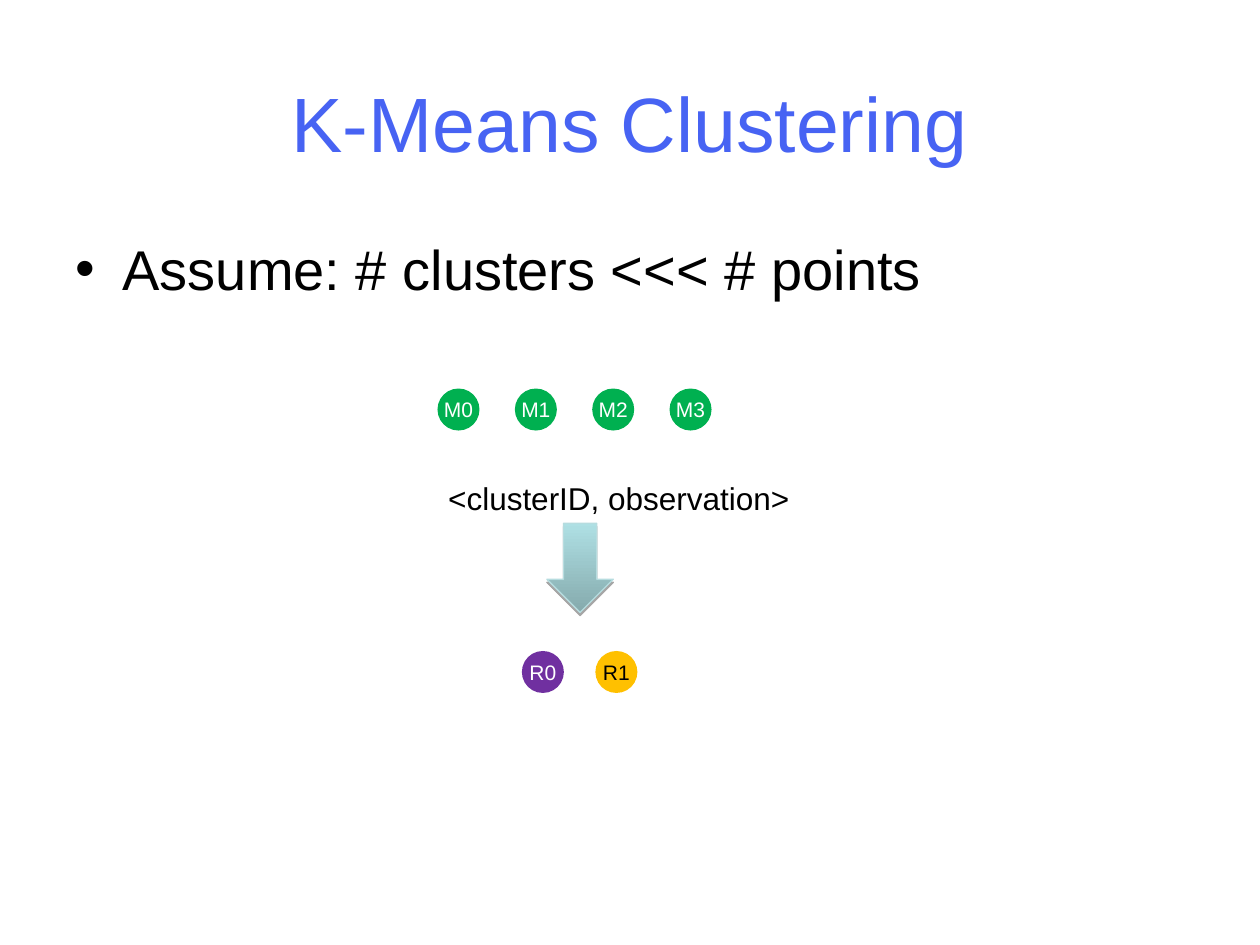
from dataclasses import dataclass

from lxml import etree
from pptx import Presentation
from pptx.dml.color import RGBColor
from pptx.enum.shapes import MSO_SHAPE
from pptx.enum.text import MSO_ANCHOR, PP_ALIGN
from pptx.oxml.ns import qn
from pptx.util import Pt

OVAL, DOWN_ARROW = MSO_SHAPE.OVAL, MSO_SHAPE.DOWN_ARROW
TOP, MIDDLE = MSO_ANCHOR.TOP, MSO_ANCHOR.MIDDLE
LEFT, CENTER = PP_ALIGN.LEFT, PP_ALIGN.CENTER


@dataclass(frozen=True)
class Theme:
    """Colours and type of the slide."""
    font: str = "Arial"
    title_size: int = 44
    body_size: int = 32
    label_size: int = 18
    node_size: int = 12
    title: str = "4763F3"
    dark: str = "000000"
    light: str = "FFFFFF"
    mapper: str = "00B050"
    first_reducer: str = "7030A0"
    second_reducer: str = "FFC000"
    arrow_bottom: str = "85AAAD"
    arrow_top: str = "AFE0E4"
    arrow_line: str = "B6DCDF"


THEME = Theme()


def rgb(code):
    """Turn a hex code into a colour."""
    return RGBColor.from_string(code)


def style_paragraph(paragraph, size, color, alignment):
    """Set the alignment and font of a paragraph."""
    paragraph.alignment = alignment
    paragraph.font.name = THEME.font
    paragraph.font.size = Pt(size)
    paragraph.font.color.rgb = rgb(color)


def add_text(slide, box, text, size, color, alignment=LEFT, anchor=TOP,
             wrap=True, top_inset=3.6, bullet_indent=0):
    """Add a text box, with a hanging bullet if an indent is given."""
    shape = slide.shapes.add_textbox(*map(Pt, box))
    frame = shape.text_frame
    frame.word_wrap = wrap
    frame.vertical_anchor = anchor
    frame.margin_top = Pt(top_inset)
    paragraph = frame.paragraphs[0]
    paragraph.text = text
    if bullet_indent:
        properties = paragraph._p.get_or_add_pPr()
        properties.set("marL", str(Pt(bullet_indent)))
        properties.set("indent", str(-Pt(bullet_indent)))
        etree.SubElement(properties, qn("a:buFont"), typeface=THEME.font)
        etree.SubElement(properties, qn("a:buChar"), char="•")
    style_paragraph(paragraph, size, color, alignment)


def add_nodes(slide, box, pitch, nodes):
    """Add a row of labelled circles, starting at the given box."""
    left, top, width, height = box
    for index, (label, fill, color) in enumerate(nodes):
        shape = slide.shapes.add_shape(
            OVAL, Pt(left + index * pitch), Pt(top), Pt(width), Pt(height))
        shape.shadow.inherit = False
        shape.fill.solid()
        shape.fill.fore_color.rgb = rgb(fill)
        shape.line.fill.background()
        frame = shape.text_frame
        frame.margin_left = frame.margin_right = 0
        frame.margin_top = frame.margin_bottom = 0
        frame.word_wrap = False
        frame.vertical_anchor = MIDDLE
        paragraph = frame.paragraphs[0]
        paragraph.text = label
        style_paragraph(paragraph, THEME.node_size, color, CENTER)


def add_flow_arrow(slide, box):
    """Add the shaded arrow between mappers and reducers."""
    shape = slide.shapes.add_shape(DOWN_ARROW, *map(Pt, box))
    shape.fill.gradient()
    shape.fill.gradient_angle = 90
    stops = zip(shape.fill.gradient_stops, (0, 1),
                (THEME.arrow_bottom, THEME.arrow_top))
    for stop, position, color in stops:
        stop.position = position
        stop.color.rgb = rgb(color)
    shape.line.color.rgb = rgb(THEME.arrow_line)
    shape.line.width = Pt(0.75)
    shape.shadow.inherit = False
    effects = shape._element.spPr.find(qn("a:effectLst"))
    shadow = etree.SubElement(
        effects, qn("a:outerShdw"), blurRad="0", dist=str(Pt(1.8)),
        dir="5400000", rotWithShape="0")
    color = etree.SubElement(shadow, qn("a:srgbClr"), val=THEME.dark)
    etree.SubElement(color, qn("a:alpha"), val="35000")


def add_heading(slide, box):
    """Add the slide title."""
    add_text(slide, box, "K-Means Clustering", THEME.title_size, THEME.title,
             CENTER, MIDDLE, top_inset=9)


def add_assumption(slide, box):
    """Add the bulleted assumption."""
    add_text(slide, box, "Assume: # clusters <<< # points",
             THEME.body_size, THEME.dark, top_inset=7.2, bullet_indent=27)


def add_map_reduce(slide, box):
    """Add the mappers, the emitted pair, the arrow and the reducers."""
    left, top = box[:2]
    diameter = 24
    mappers = [(f"M{index}", THEME.mapper, THEME.light) for index in range(4)]
    reducers = [("R0", THEME.first_reducer, THEME.light),
                ("R1", THEME.second_reducer, THEME.dark)]
    add_nodes(slide, (left + 1, top, diameter, diameter), 44.2, mappers)
    add_flow_arrow(slide, (left + 63.5, top + 77, 38, 51))
    add_text(slide, (left, top + 48, 209.5, 29), "<clusterID, observation>",
             THEME.label_size, THEME.dark, wrap=False)
    add_nodes(slide, (left + 49.2, top + 150, diameter, diameter), 42, reducers)


def main():
    """Build and save the slide."""
    presentation = Presentation()
    presentation.slide_width, presentation.slide_height = Pt(720), Pt(540)
    slide = presentation.slides.add_slide(presentation.slide_layouts[6])
    add_heading(slide, (36, 21.6, 648, 90))
    add_assumption(slide, (36, 126.7, 648, 356.4))
    add_map_reduce(slide, (249, 222, 209.5, 174))
    presentation.save("out.pptx")


if __name__ == "__main__":
    main()
